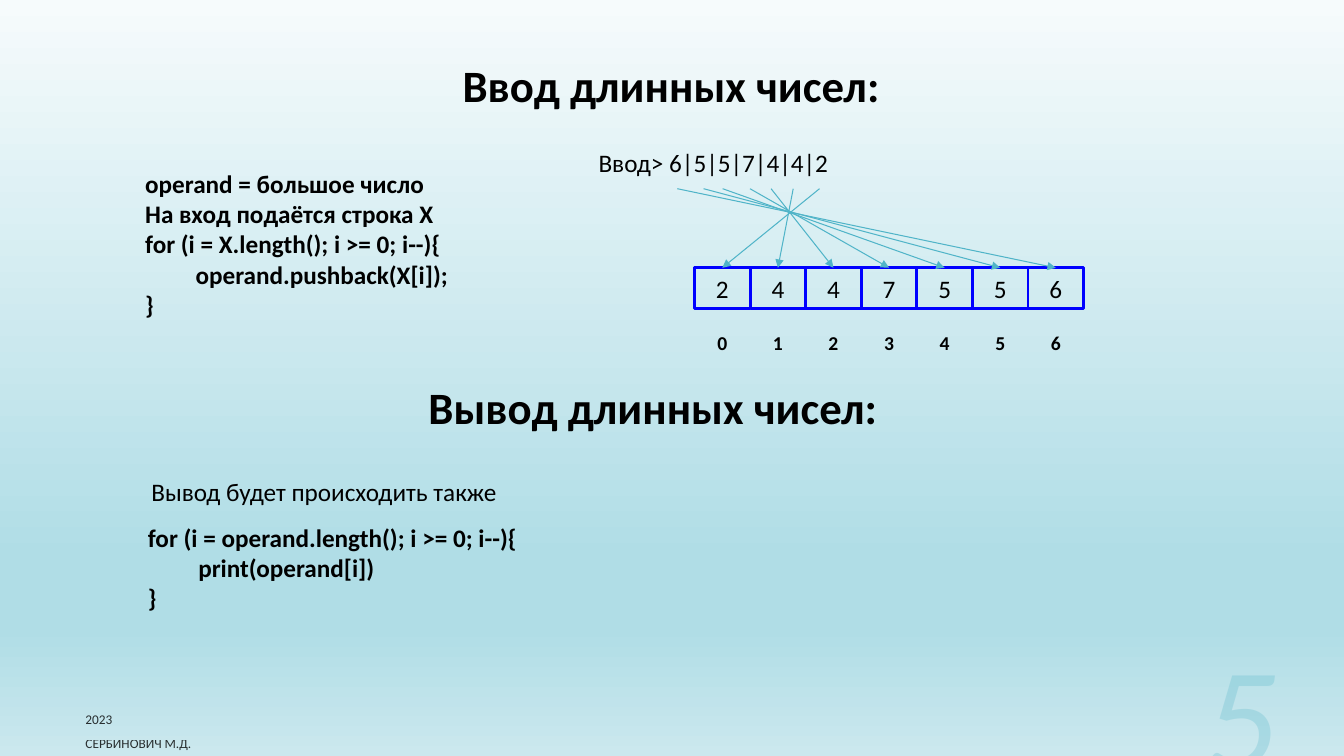
from lxml import etree
from pptx import Presentation
from pptx import util as u
from pptx.dml import color
from pptx.enum import shapes, text
from pptx.oxml import ns

LEFT, CENTER, RIGHT = text.PP_ALIGN.LEFT, text.PP_ALIGN.CENTER, text.PP_ALIGN.RIGHT
TOP, MIDDLE, BOTTOM = text.MSO_ANCHOR.TOP, text.MSO_ANCHOR.MIDDLE, text.MSO_ANCHOR.BOTTOM
BLACK, BLUE, TEAL = "000000", "0000FF", "50B4C8"


def paint(fill, hex_color, alpha=100):
    """Solid colour, with opacity in percent, for a fill, line or font."""
    fill.solid()
    fill.fore_color.rgb = color.RGBColor.from_string(hex_color)
    if alpha < 100:
        for rgb in fill._xPr.iter(ns.qn("a:srgbClr")):
            etree.SubElement(rgb, ns.qn("a:alpha")).set("val", str(alpha * 1000))


def write(shape, lines, size, bold=False, align=LEFT, anchor=TOP, hex_color=BLACK, alpha=100):
    """Fill a shape with lines; a leading tab indents the line."""
    frame = shape.text_frame
    frame.word_wrap = True
    frame.auto_size = text.MSO_AUTO_SIZE.NONE
    frame.vertical_anchor = anchor
    for number, line in enumerate(lines):
        para = frame.add_paragraph() if number else frame.paragraphs[0]
        para.text = line.lstrip("\t")
        para.alignment = align
        para.space_before = u.Pt(0)
        para.font.name = "Calibri"
        para.font.size = u.Pt(size)
        para.font.bold = bold
        paint(para.font.fill, hex_color, alpha)
        props = para._p.get_or_add_pPr()
        props.set("marL", str(u.Pt(36 if line.startswith("\t") else 0)))
        props.set("indent", "0")
        props.insert_element_before(etree.Element(ns.qn("a:buNone")), "a:tabLst", "a:defRPr")


deck = Presentation()
deck.slide_width, deck.slide_height = u.Pt(960), u.Pt(540)
page = deck.slides.add_slide(deck.slide_layouts[1])

# Background gradient
background = page.background.fill
background.gradient()
background.gradient_angle = 270
stops = next(page.element.iter(ns.qn("a:gsLst")))
for stop in list(stops):
    stops.remove(stop)
for position, hex_color in [(0, "F6FBFC"), (74, "B0DDE6"), (83, "B0DDE6"), (100, "CBE8EE")]:
    stop = etree.SubElement(stops, ns.qn("a:gs"), pos=str(position * 1000))
    etree.SubElement(stop, ns.qn("a:srgbClr"), val=hex_color)

# Title and input code
title, input_code = page.placeholders
title.left, title.top, title.width, title.height = u.Pt(26), u.Pt(37.5), u.Pt(907), u.Pt(60)
write(title, ["Ввод длинных чисел:"], 32, True, CENTER)
input_code.left, input_code.top = u.Pt(96.5), u.Pt(116.6)
input_code.width, input_code.height = u.Pt(331), u.Pt(117)
write(input_code, [
    "operand = большое число",
    "На вход подаётся строка X",
    "for (i = X.length(); i >= 0; i--){",
    "\toperand.pushback(X[i]);",
    "}",
], 18, True)

# Text boxes: left, top, width, height, lines and format
output_code = ["for (i = operand.length(); i >= 0; i--){", "\tprint(operand[i])", "}"]
for left, top, width, height, lines, style in [
    (420.5, 102, 482, 29, ["Ввод> 6|5|5|7|4|4|2"], dict(size=18)),
    (13, 268, 907, 50, ["Вывод длинных чисел:"], dict(size=32, bold=True, align=CENTER)),
    (101, 336.5, 400, 29, ["Вывод будет происходить также"], dict(size=18)),
    (98.6, 369.4, 368, 73, output_code, dict(size=18, bold=True)),
    (54, 504.7, 324, 18, ["2023"], dict(size=9.5, anchor=MIDDLE, alpha=80)),
    (54, 522, 396, 18, ["СЕРБИНОВИЧ М.Д."], dict(size=9.5, anchor=MIDDLE, alpha=80)),
]:
    box = page.shapes.add_textbox(u.Pt(left), u.Pt(top), u.Pt(width), u.Pt(height))
    write(box, lines, **style)

# Slide number
number_box = page.shapes.add_textbox(u.Pt(690), u.Pt(463), u.Pt(230), u.Pt(110))
write(number_box, ["5"], 103, align=RIGHT, anchor=BOTTOM, hex_color=TEAL, alpha=25)
number_box.text_frame.paragraphs[0].font.italic = True

# Digit cells with their indexes, and arrows from the typed digits
CELL_LEFT, CELL_TOP, CELL_WIDTH, CELL_HEIGHT = 496.1, 191.3, 39.7, 29
typed_digits = [585.4, 566.6, 550.8, 535.7, 516.2, 502.6, 483.8]
for index, (digit, typed_x) in enumerate(zip("2447556", typed_digits)):
    left = CELL_LEFT + index * CELL_WIDTH
    cell = page.shapes.add_shape(shapes.MSO_SHAPE.RECTANGLE, u.Pt(left), u.Pt(CELL_TOP),
                                 u.Pt(CELL_WIDTH), u.Pt(CELL_HEIGHT))
    cell.shadow.inherit = False
    cell.fill.background()
    paint(cell.line.fill, BLUE)
    cell.line.width = u.Pt(2)
    write(cell, [digit], 18, align=CENTER, anchor=MIDDLE)

    label = page.shapes.add_textbox(u.Pt(left + 3.65), u.Pt(233), u.Pt(32.4), u.Pt(24))
    write(label, [str(index)], 14, True, CENTER, MIDDLE)

    arrow = page.shapes.add_connector(shapes.MSO_CONNECTOR.STRAIGHT, u.Pt(typed_x), u.Pt(134.8),
                                      u.Pt(left + CELL_WIDTH / 2), u.Pt(CELL_TOP))
    arrow.end_connect(cell, 0)
    paint(arrow.line.fill, TEAL)
    arrow.line.width = u.Pt(0.75)
    etree.SubElement(arrow.line._get_or_add_ln(), ns.qn("a:tailEnd"), type="triangle")
    etree.SubElement(arrow._element.spPr, ns.qn("a:effectLst"))

deck.save("out.pptx")
